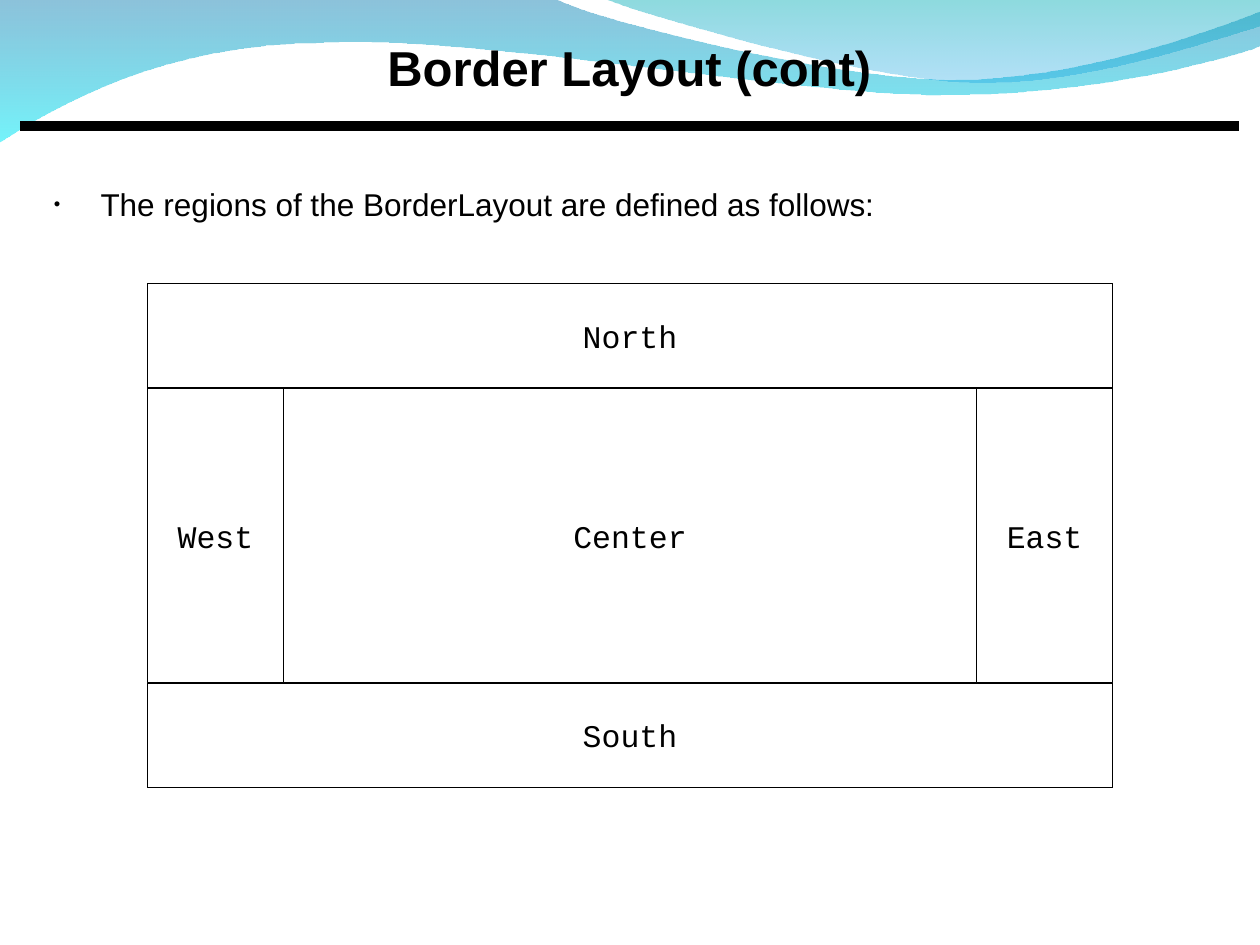
import dataclasses

import lxml.etree
import pptx
import pptx.dml.color
import pptx.enum.shapes
import pptx.enum.text
import pptx.oxml.ns
import pptx.util

Inches = pptx.util.Inches
Pt = pptx.util.Pt
qn = pptx.oxml.ns.qn
RGB = pptx.dml.color.RGBColor.from_string


@dataclasses.dataclass(frozen=True)
class Theme:
    ink: str = "000000"
    paper: str = "FFFFFF"
    wide_wave: tuple = (("0079AF", 45), ("00EBF8", 55))
    right_wave: tuple = (("00ADB6", 45), ("009BE5", 30))
    font: str = "Arial"
    code_font: str = "Courier New"
    title_size: int = 28
    body_size: int = 18
    rule_width: float = 6
    border_width: float = 0.75


THEME = Theme()

WIDE_WAVE = [
    [(0, -0.01)],
    [(4.4, -0.01)],
    [(4.76, 0.17), (6.64, 0.63), (7.58, 0.63)],
    [(8.53, 0.63), (9.58, 0.26), (10, 0.09)],
    [(10.01, 0.36)],
    [(9.83, 0.44), (8.7, 0.76), (7.46, 0.75)],
    [(6.22, 0.75), (3.82, 0.28), (2.57, 0.34)],
    [(1.29, 0.35), (0.46, 0.83), (-0.01, 1.13)],
]
RIGHT_WAVE = [
    [(4.79, -0.01)],
    [(5.09, 0.11), (6.82, 0.62), (7.69, 0.65)],
    [(8.56, 0.69), (9.61, 0.32), (10, 0.21)],
    [(10, 0)],
]


def bend_segments(sp, segments):
    lines = iter(list(sp._element.iter(qn("a:lnTo"))))
    for segment in segments:
        first, *others = [next(lines) for _ in segment]
        if others:
            curve = lxml.etree.Element(qn("a:cubicBezTo"))
            first.addprevious(curve)
            for line in (first, *others):
                curve.append(line[0])
                line.getparent().remove(line)


def add_wave(s, segments, colors):
    points = [(Inches(x), Inches(y)) for segment in segments for x, y in segment]
    builder = s.shapes.build_freeform(*points[0])
    builder.add_line_segments(points[1:], close=True)
    sp = builder.convert_to_shape()
    bend_segments(sp, segments[1:])
    sp.shadow.inherit = False
    sp.line.fill.background()
    sp.fill.gradient()
    sp.fill.gradient_angle = 270
    for position, (stop, (color, _)) in enumerate(zip(sp.fill.gradient_stops, colors)):
        stop.position = position
        stop.color.rgb = RGB(color)
    for clr, (_, opacity) in zip(sp._element.spPr.iter(qn("a:srgbClr")), colors):
        lxml.etree.SubElement(clr, qn("a:alpha"), val=str(opacity * 1000))


def add_run(p, text, font, size, bold=False):
    r = p.add_run()
    r.text = text
    r.font.name = font
    r.font.size = Pt(size)
    r.font.bold = bold
    r.font.color.rgb = RGB(THEME.ink)


def add_text(s, left, top, width, height):
    tf = s.shapes.add_textbox(Inches(left), Inches(top), Inches(width), Inches(height)).text_frame
    tf.word_wrap = True
    return tf.paragraphs[0]


def add_title(s, text):
    p = add_text(s, 0.83, 0.25, 8.33, 0.57)
    p.alignment = pptx.enum.text.PP_ALIGN.CENTER
    add_run(p, text, THEME.font, THEME.title_size, True)


def add_bullet(s, text):
    p = add_text(s, 0.33, 1.42, 9.17, 0.76)
    pPr = p._p.get_or_add_pPr()
    pPr.set("marL", str(Inches(0.37)))
    pPr.set("indent", str(-Inches(0.37)))
    color = lxml.etree.SubElement(pPr, qn("a:buClr"))
    lxml.etree.SubElement(color, qn("a:srgbClr"), val=THEME.ink)
    lxml.etree.SubElement(pPr, qn("a:buSzPct"), val="59000")
    lxml.etree.SubElement(pPr, qn("a:buFont"), typeface=THEME.font)
    lxml.etree.SubElement(pPr, qn("a:buChar"), char="•")
    add_run(p, text, THEME.font, THEME.body_size)


def add_rule(s, left, right, y):
    line = s.shapes.add_connector(
        pptx.enum.shapes.MSO_CONNECTOR.STRAIGHT, Inches(left), Inches(y), Inches(right), Inches(y))
    line.line.color.rgb = RGB(THEME.ink)
    line.line.width = Pt(THEME.rule_width)
    lxml.etree.SubElement(line._element.spPr, qn("a:effectLst"))


def add_region(s, name, left, top, width, height):
    sp = s.shapes.add_shape(
        pptx.enum.shapes.MSO_SHAPE.RECTANGLE,
        Inches(left), Inches(top), Inches(width), Inches(height))
    sp.shadow.inherit = False
    sp.fill.solid()
    sp.fill.fore_color.rgb = RGB(THEME.paper)
    sp.line.color.rgb = RGB(THEME.ink)
    sp.line.width = Pt(THEME.border_width)
    tf = sp.text_frame
    tf.word_wrap = False
    tf.vertical_anchor = pptx.enum.text.MSO_ANCHOR.MIDDLE
    p = tf.paragraphs[0]
    p.alignment = pptx.enum.text.PP_ALIGN.CENTER
    add_run(p, name, THEME.code_font, THEME.body_size)


def add_border_layout(s, left, top, width, height, band, side):
    middle = height - 2 * band
    add_region(s, "Center", left, top, width, height)
    add_region(s, "North", left, top, width, band)
    add_region(s, "South", left, top + height - band, width, band)
    add_region(s, "West", left, top + band, side, middle)
    add_region(s, "East", left + width - side, top + band, side, middle)


def main():
    prs = pptx.Presentation()
    prs.slide_width = Inches(10)
    prs.slide_height = Inches(7.5)
    s = prs.slides.add_slide(prs.slide_layouts[6])
    add_wave(s, WIDE_WAVE, THEME.wide_wave)
    add_wave(s, RIGHT_WAVE, THEME.right_wave)
    add_title(s, "Border Layout (cont)")
    add_rule(s, 0.16, 9.83, 1)
    add_bullet(s, "The regions of the BorderLayout are defined as follows:")
    add_border_layout(s, 1.17, 2.25, 7.66, 4, band=0.83, side=1.08)
    prs.save("out.pptx")


if __name__ == "__main__":
    main()
